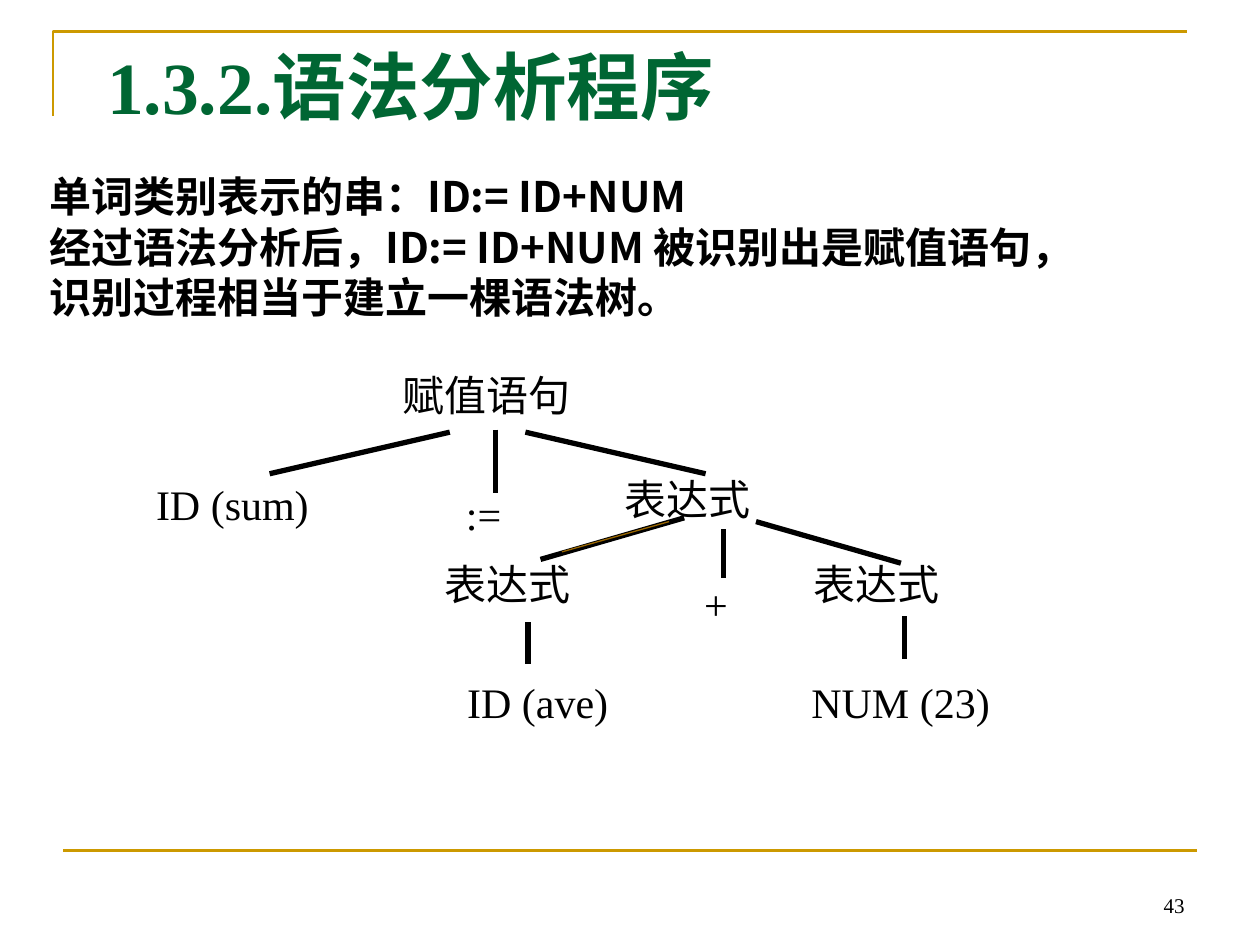
from dataclasses import dataclass

import pptx
import pptx.dml.color
import pptx.enum.shapes
import pptx.enum.text
import pptx.oxml
import pptx.oxml.ns
import pptx.util

COLORS = {"gold": "CC9900", "brown": "996600", "green": "006633", "black": "000000"}
LATIN, CHINESE = "Times New Roman", "Noto Sans CJK SC"
CELL = pptx.util.Inches(0.1)  # the slide is a grid of 100 columns by 75 rows
ANCHOR = pptx.enum.text.MSO_ANCHOR
ALIGN = pptx.enum.text.PP_ALIGN


@dataclass
class Node:
    text: str
    column: float
    row: float
    width: float


@dataclass
class Line:
    start: tuple[float, float]
    end: tuple[float, float]
    color: str = "black"
    weight: float = 3


BODY = [
    "单词类别表示的串：ID:= ID+NUM",
    "经过语法分析后，ID:= ID+NUM 被识别出是赋值语句，",
    "识别过程相当于建立一棵语法树。",
]
NODES = [
    Node("赋值语句", 31, 28.8, 20),
    Node("ID (sum)", 11.4, 37.5, 18.4),
    Node(":=", 36, 38.3, 10.7),
    Node("表达式", 48.6, 37.1, 17.2),
    Node("表达式", 34.3, 43.8, 17.2),
    Node("+", 54.9, 45.4, 8.6),
    Node("表达式", 63.6, 43.8, 17.2),
    Node("ID (ave)", 36.1, 53.2, 18.4),
    Node("NUM (23)", 63.4, 53.2, 22.9),
]
LINES = [
    Line((5, 67.5), (95, 67.5), "gold", 1.5),
    Line((35.7, 34.3), (21.4, 37.6)),
    Line((39.3, 34.1), (39.3, 39.1)),
    Line((41.7, 34.3), (56, 37.6)),
    Line((54.3, 41.1), (42.9, 44.4)),
    Line((57.4, 42), (57.4, 45.9)),
    Line((60, 41.4), (71.5, 44.7)),
    Line((41.9, 49.4), (41.9, 52.7)),
    Line((71.8, 48.9), (71.8, 52.3)),
    Line((53.1, 41.4), (44.6, 43.8), "brown", 0.75),
]


def grid(*cells: float) -> list[int]:
    return [round(cell * CELL) for cell in cells]


def rgb(name: str) -> pptx.dml.color.RGBColor:
    return pptx.dml.color.RGBColor.from_string(COLORS[name])


def add_run(paragraph, text: str, size: float, color: str = "black",
            bold: bool = False, latin: str = LATIN) -> None:
    run = paragraph.add_run()
    run.text = text
    run.font.size = pptx.util.Pt(size)
    run.font.bold = bold
    run.font.color.rgb = rgb(color)
    run.font.name = latin
    east_asian = pptx.oxml.parse_xml(
        f'<a:ea {pptx.oxml.ns.nsdecls("a")} typeface="{CHINESE}"/>')
    run.font._element.append(east_asian)


def place(shape, left: float, top: float, width: float, height: float,
          anchor=ANCHOR.TOP):
    """Position a text shape on the grid and return its text frame."""
    shape.left, shape.top, shape.width, shape.height = grid(left, top, width, height)
    frame = shape.text_frame
    frame.word_wrap = True
    frame.auto_size = pptx.enum.text.MSO_AUTO_SIZE.NONE
    frame.vertical_anchor = anchor
    return frame


def add_title(slide) -> None:
    frame = place(slide.shapes.title, 7.5, 2.8, 85, 7.9, ANCHOR.MIDDLE)
    paragraph = frame.paragraphs[0]
    paragraph.alignment = ALIGN.LEFT
    add_run(paragraph, "1.3.2.语法分析程序", 42, "green", True)


def add_body(slide) -> None:
    frame = place(slide.placeholders[1], 0, 13, 92, 13.1, ANCHOR.MIDDLE)
    for index, text in enumerate(BODY):
        paragraph = frame.paragraphs[0] if index == 0 else frame.add_paragraph()
        properties = paragraph._p.get_or_add_pPr()
        properties.set("marL", "0")
        properties.set("indent", str(grid(2.9)[0]))
        properties.append(pptx.oxml.parse_xml(
            f'<a:buNone {pptx.oxml.ns.nsdecls("a")}/>'))
        paragraph.space_before = pptx.util.Pt(0)
        paragraph.line_spacing = pptx.util.Pt(28.8)
        add_run(paragraph, text, 24, bold=True, latin=CHINESE)


def add_node(slide, node: Node) -> None:
    frame = place(slide.shapes.add_textbox(0, 0, 0, 0),
                  node.column, node.row, node.width, 5)
    add_run(frame.paragraphs[0], node.text, 24)


def add_page_number(slide) -> None:
    frame = place(slide.shapes.add_textbox(0, 0, 0, 0),
                  71.7, 68.3, 23.3, 5, ANCHOR.BOTTOM)
    frame.paragraphs[0].alignment = ALIGN.RIGHT
    add_run(frame.paragraphs[0], "43", 12)


def add_line(slide, line: Line) -> None:
    connector = slide.shapes.add_connector(
        pptx.enum.shapes.MSO_CONNECTOR.STRAIGHT, *grid(*line.start, *line.end))
    connector.line.color.rgb = rgb(line.color)
    connector.line.width = pptx.util.Pt(line.weight)
    connector._element.spPr.append(pptx.oxml.parse_xml(
        f'<a:effectLst {pptx.oxml.ns.nsdecls("a")}/>'))


def add_corner(slide) -> None:
    builder = slide.shapes.build_freeform(*grid(4.2, 9.2))
    builder.add_line_segments(
        [grid(4.2, 2.5), grid(94.2, 2.5)], close=False)
    corner = builder.convert_to_shape()
    corner.shadow.inherit = False
    corner.fill.background()
    corner.line.color.rgb = rgb("gold")
    corner.line.width = pptx.util.Pt(1.5)


def main() -> None:
    presentation = pptx.Presentation()
    presentation.slide_width, presentation.slide_height = grid(100, 75)
    slide = presentation.slides.add_slide(presentation.slide_layouts[1])
    add_corner(slide)
    add_title(slide)
    add_body(slide)
    add_page_number(slide)
    for node in NODES:
        add_node(slide, node)
    for line in LINES:
        add_line(slide, line)
    presentation.save("out.pptx")


if __name__ == "__main__":
    main()
